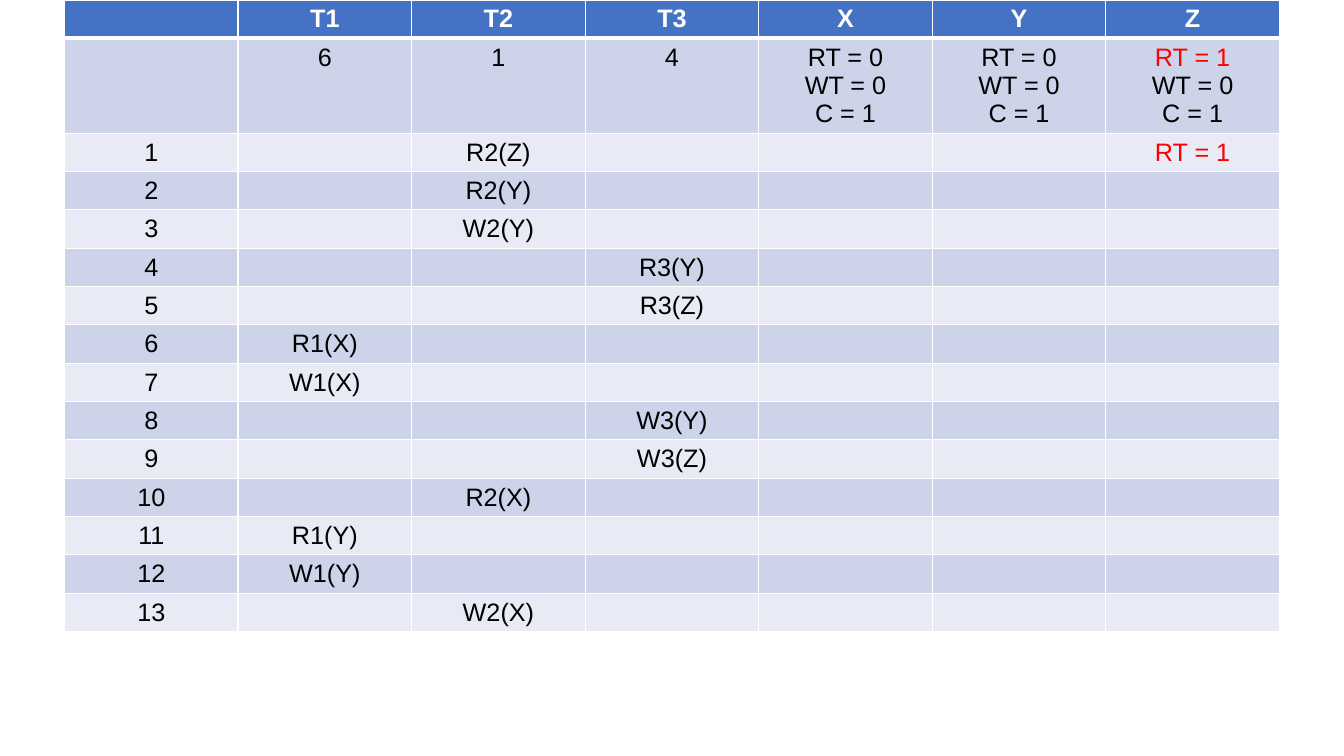
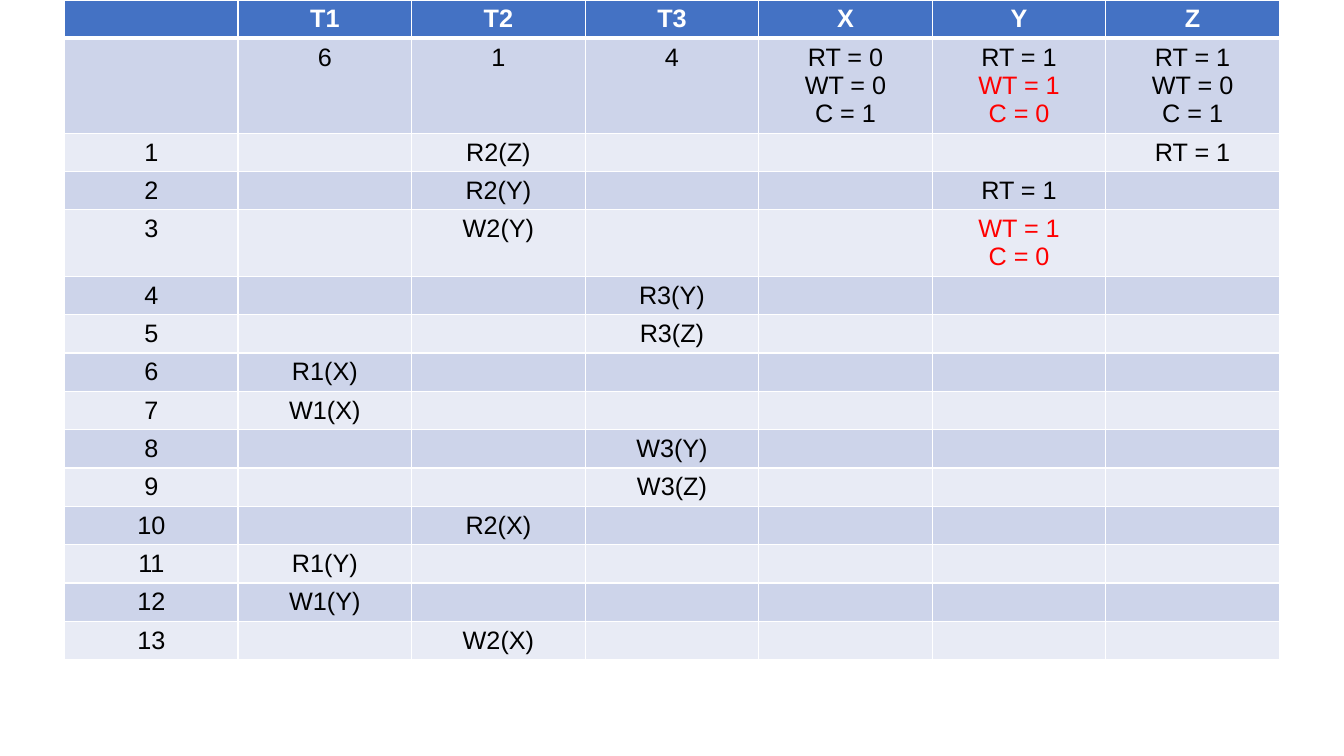
from pptx import Presentation
from pptx.dml.color import RGBColor
from pptx.enum import text
from pptx.oxml.ns import qn
from pptx.util import Inches, Pt
from lxml import etree

FONT = "Arial"
FONT_SIZE = 18
WHITE, BLACK, RED = "FFFFFF", "000000", "FF0000"
HEADER_FILL = "4472C4"
BAND_FILLS = ("CDD4EA", "E8EBF5")
THIN, THICK = 1, 3

LINE_HEIGHT, ROW_PADDING = 0.28, 0.1
TABLE_BOX = (0.64, 0, 12.05)

HEADINGS = ["", "T1", "T2", "T3", "X", "Y", "Z"]
TIMESTAMPS = ["", "6", "1", "4"]
OPERATIONS = ["R2(Z)", "R2(Y)", "W2(Y)", "R3(Y)", "R3(Z)", "R1(X)", "W1(X)",
              "W3(Y)", "W3(Z)", "R2(X)", "R1(Y)", "W1(Y)", "W2(X)"]

# Per slide: the state of each item, the changes by (step, item),
# and the lines shown in red for an item.
STAGES = [
    {"state": {"X": "RT = 0\nWT = 0\nC = 1",
               "Y": "RT = 0\nWT = 0\nC = 1",
               "Z": "RT = 1\nWT = 0\nC = 1"},
     "changes": {(1, "Z"): "RT = 1"},
     "latest": {"Z": ["RT = 1"]}},
    {"state": {"X": "RT = 0\nWT = 0\nC = 1",
               "Y": "RT = 1\nWT = 1\nC = 0",
               "Z": "RT = 1\nWT = 0\nC = 1"},
     "changes": {(1, "Z"): "RT = 1",
                 (2, "Y"): "RT = 1",
                 (3, "Y"): "WT = 1\nC = 0"},
     "latest": {"Y": ["WT = 1", "C = 0"]}},
]


def rgb(hex_color):
    return RGBColor.from_string(hex_color)


def schedule_rows(stage):
    """Return the cell texts of one stage, heading row first."""
    rows = [HEADINGS, TIMESTAMPS + [stage["state"][item] for item in "XYZ"]]
    for step, operation in enumerate(OPERATIONS, start=1):
        transaction = "T" + operation[1]
        row = [str(step)]
        for heading in HEADINGS[1:]:
            if heading == transaction:
                row.append(operation)
            else:
                row.append(stage["changes"].get((step, heading), ""))
        rows.append(row)
    return rows


def set_borders(cell, top, bottom):
    """Draw white cell borders; top and bottom are widths in points."""
    properties = cell._tc.get_or_add_tcPr()
    for side, width in (("L", THIN), ("R", THIN), ("T", top), ("B", bottom)):
        line = etree.SubElement(properties, qn(f"a:ln{side}"), w=str(Pt(width)))
        fill = etree.SubElement(line, qn("a:solidFill"))
        etree.SubElement(fill, qn("a:srgbClr"), val=WHITE)


def set_empty_font(paragraph):
    """Give a paragraph without runs the table font, so its row stays low."""
    end = etree.SubElement(paragraph._p, qn("a:endParaRPr"),
                           sz=str(FONT_SIZE * 100))
    etree.SubElement(end, qn("a:latin"), typeface=FONT)


def fill_cell(cell, content, row_index, latest):
    is_header = row_index == 0
    set_borders(cell, THICK if row_index == 1 else THIN,
                THICK if is_header else THIN)
    cell.fill.solid()
    cell.fill.fore_color.rgb = rgb(
        HEADER_FILL if is_header else BAND_FILLS[(row_index - 1) % 2])
    cell.text = content
    for paragraph in cell.text_frame.paragraphs:
        paragraph.alignment = text.PP_ALIGN.CENTER
        if not paragraph.text:
            set_empty_font(paragraph)
            continue
        font = paragraph.font
        font.name, font.size, font.bold = FONT, Pt(FONT_SIZE), is_header
        color = RED if paragraph.text in latest else BLACK
        font.color.rgb = rgb(WHITE if is_header else color)


def add_schedule(slide, box, stage):
    left, top, width = box
    rows = schedule_rows(stage)
    heights = [ROW_PADDING + LINE_HEIGHT * max(len(content.split("\n")) for content in row)
               for row in rows]
    schedule = slide.shapes.add_table(
        len(rows), len(HEADINGS), Inches(left), Inches(top),
        Inches(width), Inches(sum(heights))).table
    for column in schedule.columns:
        column.width = Inches(width / len(HEADINGS))
    for row_index, (row, height) in enumerate(zip(rows, heights)):
        schedule.rows[row_index].height = Inches(height)
        for column_index, content in enumerate(row):
            latest = stage["latest"].get(HEADINGS[column_index], [])
            fill_cell(schedule.cell(row_index, column_index), content,
                      row_index, latest)


def main():
    deck = Presentation()
    deck.slide_width, deck.slide_height = Inches(13.33), Inches(7.5)
    blank = deck.slide_layouts[6]
    for stage in STAGES:
        add_schedule(deck.slides.add_slide(blank), TABLE_BOX, stage)
    deck.save("out.pptx")


if __name__ == "__main__":
    main()
